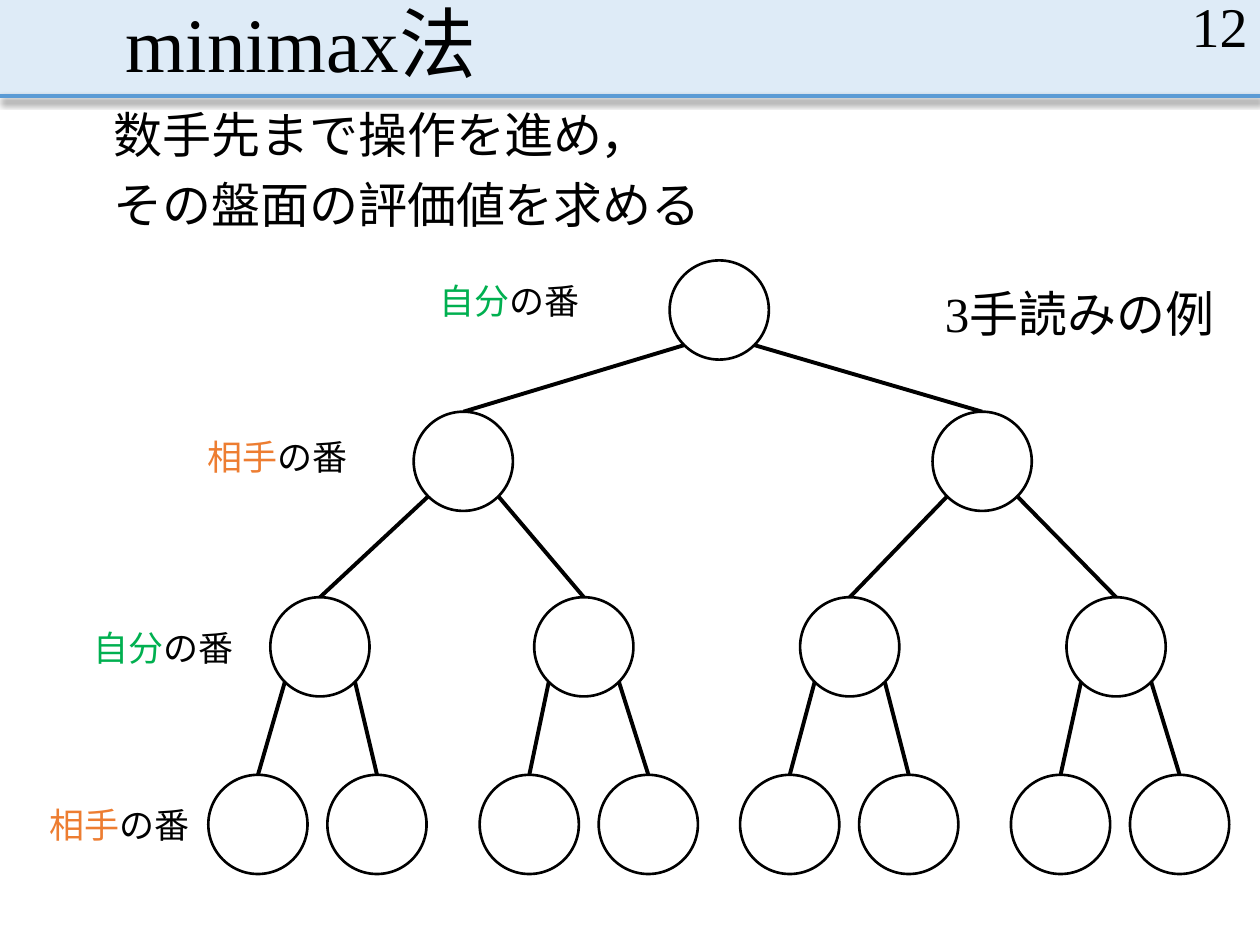
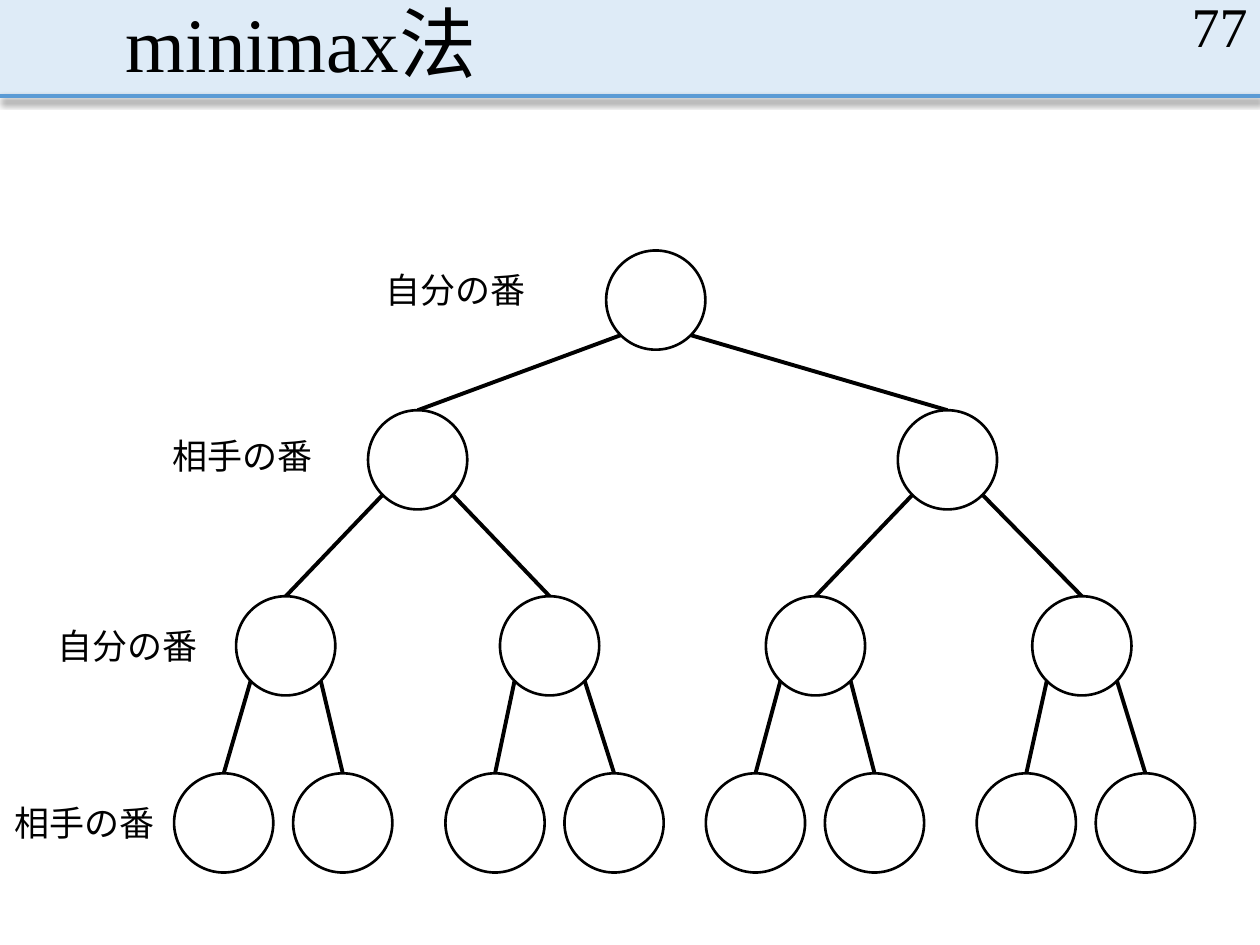
"""Build two slides that show the minimax game tree."""
from dataclasses import dataclass
from math import sqrt

from lxml.etree import SubElement
from pptx import Presentation
from pptx.dml.color import RGBColor
from pptx.enum.shapes import MSO_CONNECTOR, MSO_SHAPE
from pptx.enum.text import MSO_ANCHOR, PP_ALIGN
from pptx.oxml.ns import qn
from pptx.util import Cm, Pt


@dataclass(frozen=True)
class Theme:
    font: str = "Times New Roman"
    ink: str = "000000"
    paper: str = "FFFFFF"
    band: str = "DEEBF7"
    rule: str = "5B9BD5"
    own: str = "00B050"
    rival: str = "ED7D31"
    title_size: float = 44
    number_size: float = 32
    body_size: float = 28
    label_size: float = 20
    edge_width: float = 2.25
    node_width: float = 1.5


theme = Theme()


def add_text(slide, text, *, at, size, colors=None, align=PP_ALIGN.LEFT,
             anchor=MSO_ANCHOR.TOP, spacing=1.0, before=0, side=0.25):
    frame = slide.shapes.add_textbox(*map(Cm, at)).text_frame
    frame.word_wrap = True
    frame.vertical_anchor = anchor
    frame.margin_left = frame.margin_right = Cm(side)
    for index, line in enumerate(text.split("\n")):
        paragraph = frame.paragraphs[0] if index == 0 else frame.add_paragraph()
        paragraph.alignment = align
        paragraph.line_spacing = spacing
        paragraph.space_before = Pt(before if index else 0)
        for part, color in zip(line.split("|"), colors or [theme.ink]):
            run = paragraph.add_run()
            run.text = part
            run.font.name = theme.font
            run.font.size = Pt(size)
            run.font.color.rgb = RGBColor.from_string(color)


def add_line(slide, start, end, color=theme.ink):
    line = slide.shapes.add_connector(MSO_CONNECTOR.STRAIGHT, *map(Cm, start + end))
    line.line.color.rgb = RGBColor.from_string(color)
    line.line.width = Pt(theme.edge_width)
    return SubElement(line.element.spPr, qn("a:effectLst"))


node_size = 2.0
radius = node_size / 2
diagonal = radius / sqrt(2)
turns = [("自分", theme.own), ("相手", theme.rival)]
lower_levels = [
    [6.45, 11.77, 17.13, 22.5],
    [5.2, 7.6, 10.67, 13.07, 15.92, 18.32, 21.38, 23.78],
]
pages = [
    {
        "number": "12",
        "levels": [[14.5], [9.34, 19.8], *lower_levels],
        "heights": [6.25, 9.3, 13.04, 16.62],
        "labels": [(8.61, 5.51), (3.94, 8.66), (1.63, 12.5), (0.74, 16.08)],
        "colored": True,
        "notes": [
            {"text": "数手先まで操作を進め，\nその盤面の評価値を求める",
             "at": (2.29, 2.11, 21.49, 2.79), "spacing": 0.9, "before": 10, "side": 0},
            {"text": "3手読みの例", "at": (18.8, 5.59, 5.99, 1.45)},
        ],
    },
    {
        "number": "77",
        "levels": [[13.22], [8.42, 19.1],
                   *[[x - 0.69 for x in level] for level in lower_levels]],
        "heights": [6.05, 9.27, 13.02, 16.59],
        "labels": [(7.52, 5.28), (3.23, 8.64), (0.91, 12.47), (0.05, 16.03)],
        "colored": False,
        "notes": [],
    },
]

deck = Presentation()
deck.slide_width, deck.slide_height = Cm(25.4), Cm(19.05)

for page in pages:
    slide = deck.slides.add_slide(deck.slide_layouts[6])

    band = slide.shapes.add_shape(MSO_SHAPE.RECTANGLE, 0, 0, deck.slide_width, Cm(1.93))
    band.shadow.inherit = False
    band.fill.solid()
    band.fill.fore_color.rgb = RGBColor.from_string(theme.band)
    band.line.fill.background()
    rule_effects = add_line(slide, (0, 1.93), (25.4, 1.93), theme.rule)
    shadow = SubElement(rule_effects, qn("a:outerShdw"), blurRad=str(Pt(4)),
                        dist=str(Pt(2.5)), dir="5400000", algn="t", rotWithShape="0")
    shadow_color = SubElement(shadow, qn("a:srgbClr"), val=theme.ink)
    SubElement(shadow_color, qn("a:alpha"), val="47000")

    add_text(slide, "minimax法", at=(2.29, 0, 20.96, 1.93), size=theme.title_size,
             anchor=MSO_ANCHOR.BOTTOM, spacing=0.9)
    add_text(slide, page["number"], at=(19.69, 0, 5.71, 1.02), size=theme.number_size,
             align=PP_ALIGN.RIGHT, anchor=MSO_ANCHOR.MIDDLE)

    for depth, (level, y) in enumerate(zip(page["levels"], page["heights"])):
        for index, x in enumerate(level):
            if depth:
                parent_x = page["levels"][depth - 1][index // 2]
                parent_y = page["heights"][depth - 1]
                side = 1 if index % 2 else -1
                add_line(slide, (parent_x + side * diagonal, parent_y + diagonal),
                         (x, y - radius))
            node = slide.shapes.add_shape(MSO_SHAPE.OVAL, Cm(x - radius), Cm(y - radius),
                                          Cm(node_size), Cm(node_size))
            node.shadow.inherit = False
            node.fill.solid()
            node.fill.fore_color.rgb = RGBColor.from_string(theme.paper)
            node.line.color.rgb = RGBColor.from_string(theme.ink)
            node.line.width = Pt(theme.node_width)

        player, player_color = turns[depth % 2]
        separator = "|" if page["colored"] else ""
        colors = [player_color, theme.ink] if page["colored"] else [theme.ink]
        add_text(slide, f"{player}{separator}の番", at=(*page["labels"][depth], 3.45, 1.12),
                 size=theme.label_size, colors=colors)

    for note in page["notes"]:
        add_text(slide, size=theme.body_size, **note)

deck.save("out.pptx")
